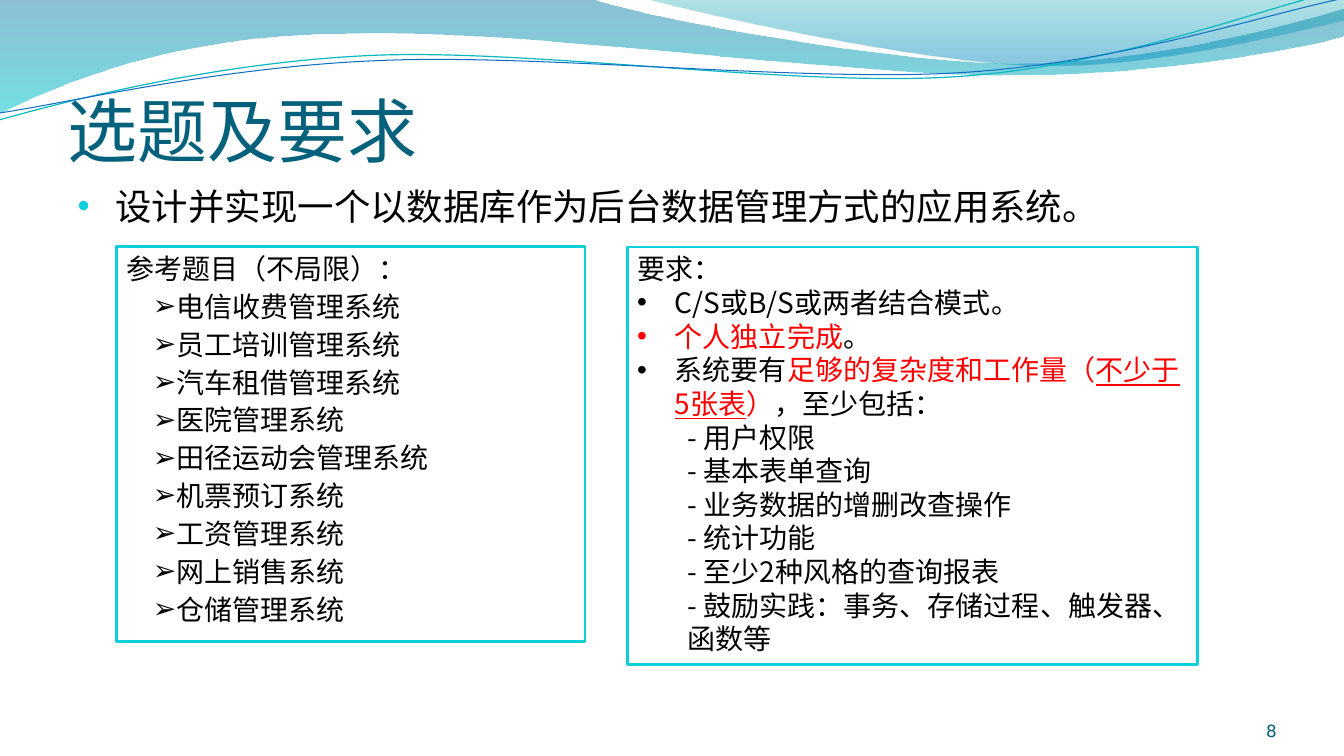
from pptx import Presentation
from pptx.dml.color import RGBColor
from pptx.enum.shapes import MSO_SHAPE
from pptx.enum.text import MSO_ANCHOR, PP_ALIGN
from pptx.oxml.ns import qn
from pptx.util import Pt
from lxml.etree import SubElement

SANS = "Noto Sans CJK SC"
BLACK, RED, CYAN = "000000", "FF0000", "0BD0D9"
TOPICS = ["电信收费管理系统", "员工培训管理系统", "汽车租借管理系统", "医院管理系统",
          "田径运动会管理系统", "机票预订系统", "工资管理系统", "网上销售系统",
          "仓储管理系统"]
PARTS = ["用户权限", "基本表单查询", "业务数据的增删改查操作", "统计功能",
         "至少2种风格的查询报表", "鼓励实践：事务、存储过程、触发器、函数等"]

# Wave outlines in points: a pair is a straight step, six values are a curve
BAND = [(0, -0.7), (422.6, -0.7), (456.5, 12.2, 637.2, 45.4, 727.9, 45.4),
        (819.4, 45.4, 920.2, 18.7, 959.8, 6.5), (961.2, 25.9),
        (943.9, 31.7, 835.2, 54.7, 715.7, 54),
        (596.9, 54, 366.5, 20.2, 247, 24.5), (123.8, 25.2, 43.9, 59.8, -0.7, 81.4)]
CREST = [(460.1, -0.7), (488.9, 7.9, 654.5, 44.6, 738, 46.8),
         (821.5, 49.7, 923, 23, 959.8, 15.1), (959.8, 0)]
TEAL = [(-0.7, 85.7), (46.1, 72.7, 151.9, 44.6, 265.7, 39.6),
        (379.4, 34.6, 568.8, 62.6, 684, 54.7), (799.2, 46.8, 901.4, 5.8, 958.3, -7.2)]
BLUE = [(0, 80.6), (45.4, 74.2, 157, 47.5, 272.2, 43.2),
        (386.6, 38.2, 573.1, 59, 687.6, 51.8), (802.8, 44.6, 903.6, 10.1, 960.5, -1.4)]
FINE = 100  # outline units in a point


def tint(text):
    return RGBColor.from_string(text)


def apply(item, vals):
    for key, val in vals.items():
        setattr(item, key, val)


def draw(slide, steps, close):
    """Lay out all points as straight steps, then join threes into curves."""
    dots = [(step[i] * FINE, step[i + 1] * FINE)
            for step in steps for i in range(0, len(step), 2)]
    form = slide.shapes.build_freeform(*dots[0], scale=Pt(1) / FINE)
    form.add_line_segments(dots[1:], close=close)
    wave = form.convert_to_shape()
    legs = iter(list(wave._element.iter(qn("a:lnTo"))))
    for step in steps[1:]:
        leg = next(legs)
        if len(step) == 6:
            leg.tag = qn("a:cubicBezTo")
            for _ in range(2):
                extra = next(legs)
                leg.append(extra[0])
                extra.getparent().remove(extra)
    return wave


def add_wave(slide, steps, stops=None, line=None):
    wave = draw(slide, steps, stops is not None)
    wave.shadow.inherit = False
    if line:
        wave.fill.background()
        wave.line.color.rgb = tint(line[0])
        wave.line.width = Pt(line[1])
        return
    wave.line.fill.background()
    wave.fill.gradient()
    wave.fill.gradient_angle = 270
    for stop, (place, color, _) in zip(wave.fill.gradient_stops, stops):
        stop.position = place
        stop.color.rgb = tint(color)
    nodes = wave._element.spPr.iter(qn("a:srgbClr"))
    for node, (_, _, alpha) in zip(nodes, stops):
        SubElement(node, qn("a:alpha"), val=str(alpha * 1000))


def add_run(para, text, size, color=BLACK, font=SANS, under=None):
    run = para.add_run()
    run.text = text
    apply(run.font, {"size": Pt(size), "name": font, "underline": under})
    run.font.color.rgb = tint(color)
    SubElement(run._r.rPr, qn("a:ea"), typeface=font)


def set_bullet(para, left, hang, char=None, color=None):
    props = para._p.get_or_add_pPr()
    props.set("marL", str(Pt(left)))
    props.set("indent", str(Pt(-hang)))
    if color:
        node = SubElement(props, qn("a:buClr"))
        SubElement(node, qn("a:srgbClr"), val=color)
        SubElement(props, qn("a:buSzPct"), val="95000")
    if char:
        SubElement(props, qn("a:buFont"), typeface="Arial")
        SubElement(props, qn("a:buChar"), char=char)


def set_frame(frame, anchor, sides):
    keys = ("margin_left", "margin_top", "margin_right", "margin_bottom")
    apply(frame, {"word_wrap": True, "vertical_anchor": anchor,
                  **dict(zip(keys, map(Pt, sides)))})


def add_text(slide, area, anchor, sides):
    box = slide.shapes.add_textbox(*map(Pt, area))
    set_frame(box.text_frame, anchor, sides)
    return box.text_frame.paragraphs[0]


def add_panel(slide, area, rows, before=0):
    """Each row holds its runs and its indent and bullet."""
    box = slide.shapes.add_shape(MSO_SHAPE.RECTANGLE, *map(Pt, area))
    box.shadow.inherit = False
    box.fill.solid()
    box.fill.fore_color.rgb = tint("FFFFFF")
    box.line.color.rgb = tint(CYAN)
    box.line.width = Pt(2)
    frame = box.text_frame
    set_frame(frame, MSO_ANCHOR.TOP, (7.2, 3.6, 7.2, 3.6))
    for num, (runs, mark) in enumerate(rows):
        para = frame.add_paragraph() if num else frame.paragraphs[0]
        apply(para, {"alignment": PP_ALIGN.LEFT, "line_spacing": Pt(24),
                     "space_before": Pt(before)})
        set_bullet(para, *mark)
        for text, *look in runs:
            add_run(para, text, 20, *look)


def main():
    deck = Presentation()
    apply(deck, {"slide_width": Pt(960), "slide_height": Pt(540)})
    slide = deck.slides.add_slide(deck.slide_layouts[5])

    # Waves along the top
    add_wave(slide, BAND, [(0, "0074A1", 45), (1, "00C6CF", 55)])
    add_wave(slide, CREST, [(0, "00A1A9", 30), (0.8, "008BBF", 45)])
    add_wave(slide, TEAL, line=("0AB8BF", 0.85))
    add_wave(slide, BLUE, line=("0F6FC6", 0.75))

    # Title, main point and page number
    title = slide.shapes.title
    apply(title, dict(zip(("left", "top", "width", "height"),
                          map(Pt, (48, 55.4, 864, 67)))))
    set_frame(title.text_frame, MSO_ANCHOR.BOTTOM, (0, 3.6, 0, 0))
    para = title.text_frame.paragraphs[0]
    para.alignment = PP_ALIGN.LEFT
    add_run(para, "选题及要求", 50, "04617B", "Calibri")

    para = add_text(slide, (48.3, 128, 864, 370), MSO_ANCHOR.TOP, (7.2, 3.6, 7.2, 3.6))
    para.line_spacing = Pt(31.2)
    set_bullet(para, 27.2, 27.2, "•", CYAN)
    add_run(para, "设计并实现一个以数据库作为后台数据管理方式的应用系统。", 26)

    para = add_text(slide, (832, 500.4, 80, 28.8), MSO_ANCHOR.BOTTOM, (0, 0, 0, 0))
    para.alignment = PP_ALIGN.RIGHT
    add_run(para, "8", 12, "045C75", "DejaVu Sans")

    # Topics on the left, demands on the right
    plain, dot, sub = (0, 0), (27, 27, "•"), (36, 0)
    topics = [([("参考题目（不局限）：",)], plain)]
    topics += [([(text,)], (35, 16, "➢")) for text in TOPICS]
    add_panel(slide, (83.1, 176.2, 334.8, 281.8), topics, 3)

    needs = [([("要求：",)], plain),
             ([("C/S或B/S或两者结合模式。",)], dot),
             ([("个人独立完成", RED), ("。",)], dot),
             ([("系统要有",), ("足够的复杂度和工作量（", RED),
               ("不少于5张表", RED, SANS, True), ("）", RED), ("，至少包括：",)], dot)]
    needs += [([("- " + text,)], sub) for text in PARTS]
    add_panel(slide, (448, 176.4, 407.5, 298), needs)
    deck.save("out.pptx")


if __name__ == "__main__":
    main()
